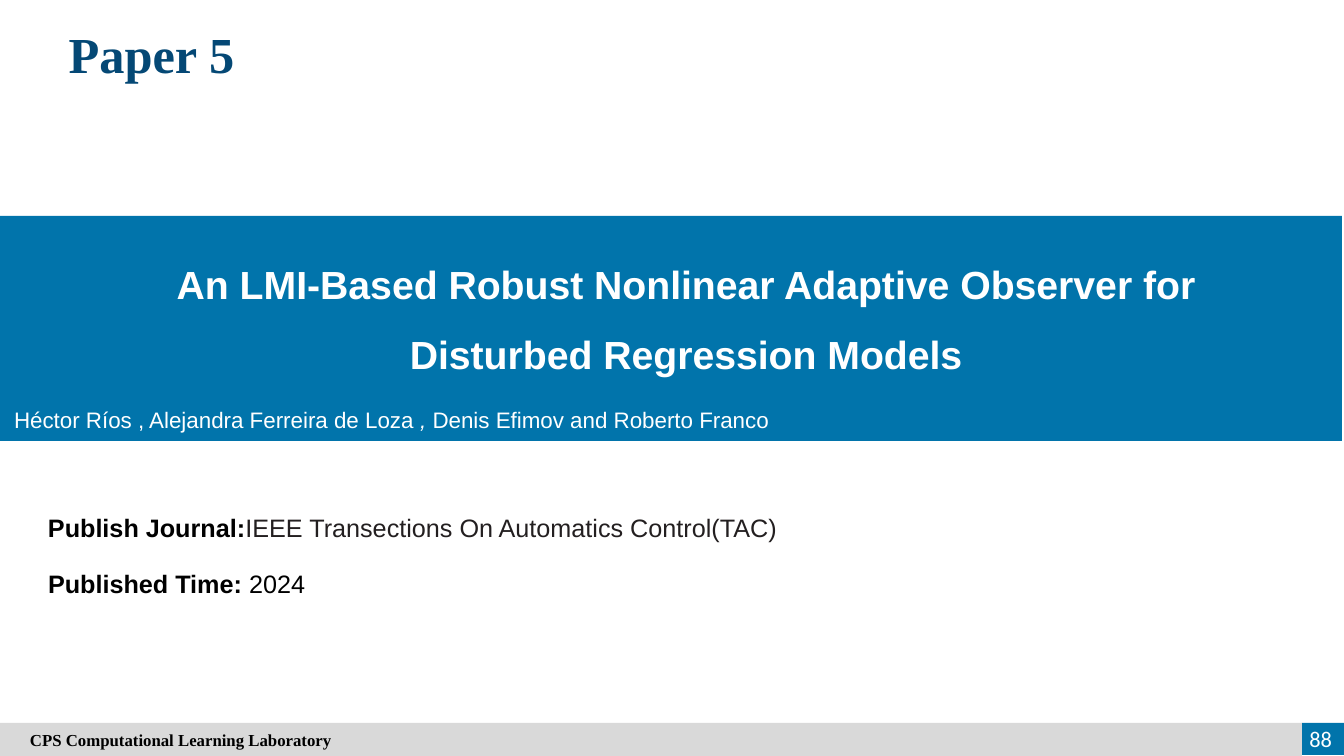
from pptx import Presentation
from pptx import util as u
from pptx.dml.color import RGBColor
from pptx.enum import shapes, text

EMU_PER_PX = 914400 / 100.8
COLOURS = {
    "blue": "0174AB",
    "navy": "044875",
    "grey": "D9D9D9",
    "white": "FFFFFF",
    "black": "000000",
    "ink": "231F20",
}
ALIGNS = {"left": text.PP_ALIGN.LEFT, "center": text.PP_ALIGN.CENTER,
          "right": text.PP_ALIGN.RIGHT}
ANCHORS = {"top": text.MSO_ANCHOR.TOP, "middle": text.MSO_ANCHOR.MIDDLE}


def px(length):
    return u.Emu(round(length * EMU_PER_PX))


def add_span(para, words, size=16, font="Arial", colour="white", bold=False, italic=False):
    span = para.add_run()
    span.text = words
    span.font.size = u.Pt(size)
    span.font.name = font
    span.font.bold = bold
    span.font.italic = italic
    span.font.color.rgb = RGBColor.from_string(COLOURS[colour])


class PaperSlide:
    def __init__(self, deck):
        self.page = deck.slides.add_slide(deck.slide_layouts[5])

    def fill_text(self, box, spans, align="left", anchor="top", spacing=1.0, inset=10):
        """Fill a box with one paragraph of (words, format) spans."""
        frame = box.text_frame
        frame.word_wrap = True
        frame.auto_size = text.MSO_AUTO_SIZE.NONE
        frame.vertical_anchor = ANCHORS[anchor]
        frame.margin_left = px(inset)
        para = frame.paragraphs[0]
        para.alignment = ALIGNS[align]
        para.line_spacing = spacing
        for words, style in spans:
            add_span(para, words, **style)

    def title(self, area, spans, **layout):
        box = self.page.shapes.title
        box.left, box.top, box.width, box.height = map(px, area)
        self.fill_text(box, spans, **layout)

    def label(self, area, spans, **layout):
        self.fill_text(self.page.shapes.add_textbox(*map(px, area)), spans, **layout)

    def band(self, area, colour):
        box = self.page.shapes.add_shape(shapes.MSO_SHAPE.RECTANGLE, *map(px, area))
        box.shadow.inherit = False
        box.fill.solid()
        box.fill.fore_color.rgb = RGBColor.from_string(COLOURS[colour])
        box.line.fill.background()
        return box


def main():
    deck = Presentation()
    deck.slide_width, deck.slide_height = px(1344), px(756)
    slide = PaperSlide(deck)

    # Heading
    serif = dict(font="Times New Roman", bold=True)
    slide.title((38, 18, 227, 72), [("Paper 5", dict(serif, size=36, colour="navy"))],
                align="center")

    # Banner with paper name and authors
    slide.band((0, 216, 1342, 225), "blue")
    slide.label((82, 235, 1208, 144),
                [("An LMI-Based Robust Nonlinear Adaptive Observer for "
                  "Disturbed Regression Models", dict(size=28, bold=True))],
                align="center", anchor="middle", spacing=1.5)
    slide.label((4, 401, 940, 37),
                [("Héctor Ríos , Alejandra Ferreira de Loza ", {}),
                 (", ", dict(italic=True)),
                 ("Denis Efimov and Roberto Franco", {})])

    # Publication facts
    facts = [("Publish Journal:", "IEEE Transections On Automatics Control(TAC)", "ink", 965),
             ("Published Time:", " 2024", "black", 643)]
    for row, (name, value, colour, width) in enumerate(facts):
        slide.label((38, 507 + 56 * row, width, 40),
                    [(name, dict(size=18, colour="black", bold=True)),
                     (value, dict(size=18, colour=colour))])

    # Footer
    slide.band((1302, 723, 42, 32), "blue")
    footer = slide.band((0, 723, 1302, 33), "grey")
    slide.fill_text(footer, [("CPS Computational Learning Laboratory",
                              dict(serif, size=12, colour="black"))],
                    anchor="middle", inset=30)
    slide.label((1279, 719, 63, 40), [("88", dict(font="Calibri"))],
                align="right", anchor="middle")

    deck.save("out.pptx")


if __name__ == "__main__":
    main()
